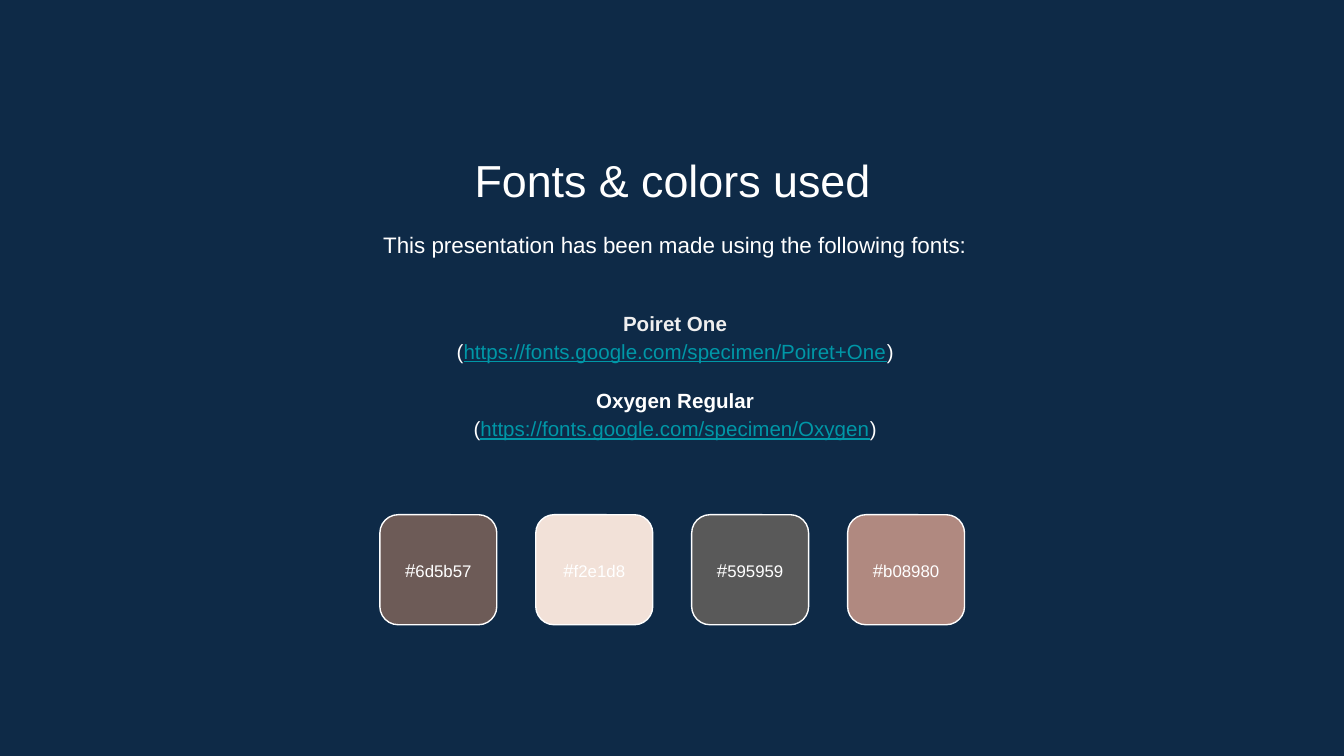
from dataclasses import dataclass

from pptx import Presentation
from pptx.dml.color import RGBColor
from pptx.enum.shapes import MSO_SHAPE
from pptx.enum.text import MSO_ANCHOR, PP_ALIGN
from pptx.util import Cm, Pt

ROUNDED = MSO_SHAPE.ROUNDED_RECTANGLE
CENTER = PP_ALIGN.CENTER
TOP, MIDDLE = MSO_ANCHOR.TOP, MSO_ANCHOR.MIDDLE


@dataclass(frozen=True)
class Theme:
    font: str = "Arial"
    background: str = "0E2A47"
    text: str = "FFFFFF"
    soft_text: str = "EFEFEF"
    link: str = "0097A7"
    title_size: int = 24
    intro_size: int = 12
    font_list_size: int = 11
    hash_size: int = 10
    code_size: int = 9
    line_spacing: float = 1.15
    entry_gap: int = 11
    outline: float = 0.75


THEME = Theme()

FONTS = [
    ("Poiret One", "https://fonts.google.com/specimen/Poiret+One", THEME.soft_text),
    ("Oxygen Regular", "https://fonts.google.com/specimen/Oxygen", THEME.text),
]
PALETTE = ["6d5b57", "f2e1d8", "595959", "b08980"]


def rgb(code):
    return RGBColor.from_string(code.upper())


def add_text_frame(slide, box, anchor=TOP):
    left, top, width, height = box
    frame = slide.shapes.add_textbox(Cm(left), Cm(top), Cm(width), Cm(height)).text_frame
    frame.word_wrap = True
    frame.vertical_anchor = anchor
    frame.margin_left = frame.margin_right = Cm(0.25)
    frame.margin_top = frame.margin_bottom = Cm(0.25)
    return frame


def next_paragraph(frame, spacing=None):
    """Return the unused first paragraph, or add another one."""
    first = frame.paragraphs[0]
    paragraph = frame.add_paragraph() if first.runs else first
    paragraph.alignment = CENTER
    paragraph.line_spacing = spacing
    return paragraph


def add_run(paragraph, text, size, color=THEME.text, bold=False, underline=False):
    run = paragraph.add_run()
    run.text = text
    run.font.name = THEME.font
    run.font.size = Pt(size)
    run.font.bold = bold
    run.font.underline = underline
    run.font.color.rgb = rgb(color)


def add_line(slide, box, text, size, spacing=None):
    frame = add_text_frame(slide, box)
    add_run(next_paragraph(frame, spacing), text, size)


def add_font_list(slide, box, fonts):
    frame = add_text_frame(slide, box, MIDDLE)
    size = THEME.font_list_size
    for index, (name, address, color) in enumerate(fonts):
        heading = next_paragraph(frame, THEME.line_spacing)
        if index:
            heading.space_before = Pt(THEME.entry_gap)
        add_run(heading, name, size, color, bold=True)
        source = next_paragraph(frame, THEME.line_spacing)
        add_run(source, "(", size)
        add_run(source, address, size, THEME.link, underline=True)
        add_run(source, ")", size)


def add_swatch(slide, box, code):
    left, top, width, height = box
    swatch = slide.shapes.add_shape(ROUNDED, Cm(left), Cm(top), Cm(width), Cm(height))
    swatch.shadow.inherit = False
    swatch.fill.solid()
    swatch.fill.fore_color.rgb = rgb(code)
    swatch.line.color.rgb = rgb(THEME.text)
    swatch.line.width = Pt(THEME.outline)

    label = add_text_frame(slide, (left, top + 0.43, width, 1.22), MIDDLE)
    paragraph = next_paragraph(label)
    add_run(paragraph, "#", THEME.hash_size)
    add_run(paragraph, code, THEME.code_size)


def add_palette(slide, box, codes, swatch_width=2.21):
    """Spread the swatches over the box with equal gaps."""
    left, top, width, height = box
    pitch = (width - swatch_width) / (len(codes) - 1)
    for index, code in enumerate(codes):
        add_swatch(slide, (left + index * pitch, top, swatch_width, height), code)


def main():
    presentation = Presentation()
    presentation.slide_width = Cm(25.4)
    presentation.slide_height = Cm(14.29)
    slide = presentation.slides.add_slide(presentation.slide_layouts[6])
    slide.background.fill.solid()
    slide.background.fill.fore_color.rgb = rgb(THEME.background)

    add_line(slide, (2.92, 2.64, 19.58, 1.35), "Fonts & colors used", THEME.title_size)
    add_line(
        slide,
        (2.97, 4.04, 19.58, 1.22),
        "This presentation has been made using the following fonts:",
        THEME.intro_size,
        THEME.line_spacing,
    )
    add_font_list(slide, (2.97, 5.33, 19.58, 3.48), FONTS)
    add_palette(slide, (7.18, 9.73, 11.05, 2.08), PALETTE)
    presentation.save("out.pptx")


if __name__ == "__main__":
    main()
